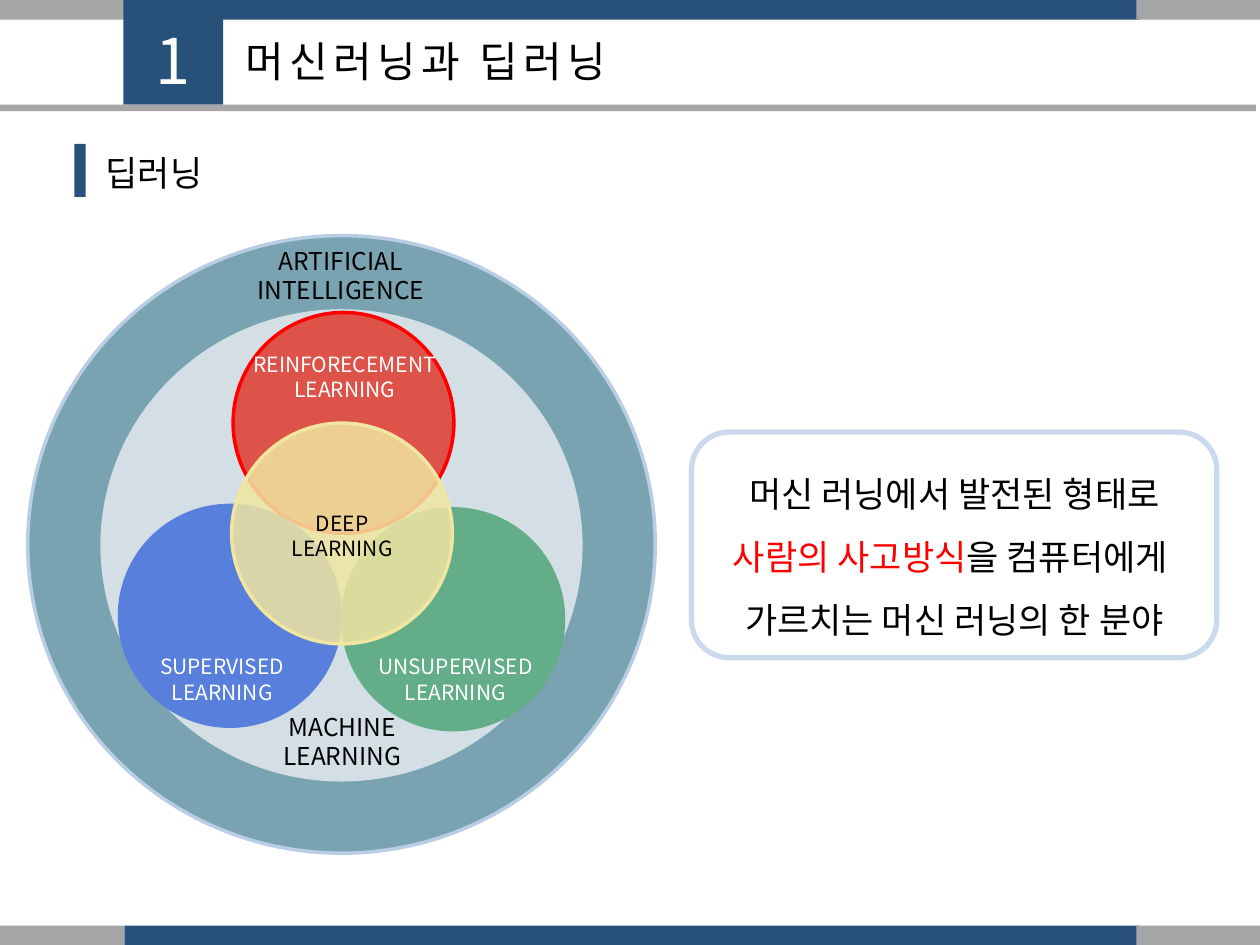
from dataclasses import dataclass
from typing import Optional

from lxml.etree import SubElement
from pptx import Presentation
from pptx.dml.color import RGBColor
from pptx.enum.shapes import MSO_SHAPE
from pptx.enum.text import MSO_ANCHOR, MSO_AUTO_SIZE, PP_ALIGN
from pptx.oxml.ns import qn
from pptx.util import Cm, Pt

FONT = "Noto Sans CJK KR"
NAVY = RGBColor(0x28, 0x51, 0x7A)
GRAY = RGBColor(0xA6, 0xA6, 0xA6)
BLACK = RGBColor(0, 0, 0)
WHITE = RGBColor(0xFF, 0xFF, 0xFF)
RED = RGBColor(0xFF, 0, 0)
TEAL = RGBColor(0x79, 0xA3, 0xB0)
PALE_BLUE = RGBColor(0xB9, 0xCD, 0xE5)
FRAME_BLUE = RGBColor(0xCA, 0xD9, 0xEB)
MIST = RGBColor(0xD3, 0xDF, 0xE5)
GREEN = RGBColor(0x63, 0xAE, 0x89)
CORAL = RGBColor(0xDE, 0x53, 0x49)
BLUE = RGBColor(0x57, 0x7F, 0xDB)
CREAM = RGBColor(0xF0, 0xE5, 0xA1)


@dataclass(frozen=True)
class Area:
    """Position and size in centimetres."""
    left: float
    top: float
    width: float
    height: float

    def lengths(self) -> tuple:
        return Cm(self.left), Cm(self.top), Cm(self.width), Cm(self.height)


@dataclass(frozen=True)
class Circle:
    area: Area
    fill: RGBColor
    line: RGBColor
    opacity: int = 100


@dataclass(frozen=True)
class Label:
    area: Area
    words: str
    size: int
    color: RGBColor


def add_figure(page, kind, area: Area, fill: Optional[RGBColor] = None,
               line: Optional[RGBColor] = None, weight: float = 2,
               opacity: int = 100):
    figure = page.shapes.add_shape(kind, *area.lengths())
    figure.shadow.inherit = False
    if fill is None:
        figure.fill.background()
    else:
        figure.fill.solid()
        figure.fill.fore_color.rgb = fill
        if opacity < 100:
            color = figure.fill._xPr.find(qn("a:solidFill"))[0]
            SubElement(color, qn("a:alpha"), val=str(opacity * 1000))
    if line is None:
        figure.line.fill.background()
    else:
        figure.line.color.rgb = line
        figure.line.width = Pt(weight)
    return figure


def write_text(box, text: str, *, size: int, color: RGBColor = BLACK,
               align=PP_ALIGN.LEFT, line_spacing: float = 1.0,
               tracking: int = 0, accent: str = "") -> None:
    """Fill a box line by line; the accent phrase turns red."""
    frame = box.text_frame
    frame.word_wrap = True
    frame.auto_size = MSO_AUTO_SIZE.NONE
    frame.vertical_anchor = MSO_ANCHOR.TOP
    for index, line in enumerate(text.split("\n")):
        para = frame.paragraphs[0] if index == 0 else frame.add_paragraph()
        properties = para._p.get_or_add_pPr()
        properties.set("marL", "0")
        properties.set("indent", "0")
        SubElement(properties, qn("a:buNone"))
        para.alignment = align
        para.line_spacing = line_spacing
        para.space_before = Pt(0)
        if accent and accent in line:
            before, after = line.split(accent)
            pieces = [(before, color), (accent, RED), (after, color)]
        else:
            pieces = [(line, color)]
        for words, shade in pieces:
            if not words:
                continue
            span = para.add_run()
            span.text = words
            span.font.size = Pt(size)
            span.font.name = FONT
            span.font.color.rgb = shade
            run_properties = span.font._element
            SubElement(run_properties, qn("a:ea"), typeface=FONT)
            if tracking:
                run_properties.set("spc", str(tracking * 100))


def place(box, area: Area):
    box.left, box.top, box.width, box.height = area.lengths()
    return box


def add_text(page, area: Area, text: str, **style) -> None:
    write_text(page.shapes.add_textbox(*area.lengths()), text, **style)


def add_band(page, top: float) -> None:
    for left, width, color in ((2.51, 20.47, NAVY), (0, 2.51, GRAY), (22.91, 2.49, GRAY)):
        add_figure(page, MSO_SHAPE.RECTANGLE, Area(left, top, width, 0.4), color)


DISC = 4.45
RINGS = [
    Circle(Area(0.56, 4.75, 12.65, 12.45), TEAL, PALE_BLUE),
    Circle(Area(2.06, 6.27, 9.65, 9.45), MIST, MIST),
]
BRANCHES = [
    Circle(Area(6.91, 10.26, DISC, DISC), GREEN, GREEN),
    Circle(Area(4.7, 6.3, DISC, DISC), CORAL, RED),
    Circle(Area(2.41, 10.19, DISC, DISC), BLUE, BLUE),
    Circle(Area(4.67, 8.53, DISC, DISC), CREAM, CREAM, opacity=85),
]
LABELS = [
    Label(Area(1.27, 4.83, 11.2, 1.45), "ARTIFICIAL\nINTELLIGENCE", 14, BLACK),
    Label(Area(2.62, 14.22, 8.56, 1.45), "MACHINE\nLEARNING", 14, BLACK),
    Label(Area(1.35, 6.96, 11.2, 1.27), "REINFORECEMENT\nLEARNING", 12, WHITE),
    Label(Area(-1.12, 13.06, 11.2, 1.27), "SUPERVISED\nLEARNING", 12, WHITE),
    Label(Area(3.58, 13.06, 11.2, 1.27), "UNSUPERVISED\nLEARNING", 12, WHITE),
    Label(Area(1.3, 10.16, 11.2, 1.27), "DEEP\nLEARNING", 12, BLACK),
]


def main() -> None:
    deck = Presentation()
    deck.slide_width, deck.slide_height = Cm(25.4), Cm(19.05)
    page = deck.slides.add_slide(deck.slide_layouts[1])

    # Bands, heading and section number
    for top in (0, 18.66):
        add_band(page, top)
    add_figure(page, MSO_SHAPE.RECTANGLE, Area(2.49, 0, 2.01, 2.11), NAVY)
    add_figure(page, MSO_SHAPE.RECTANGLE, Area(-0.13, 2.11, 25.45, 0.13), GRAY)
    title = place(page.shapes.title, Area(4.7, 0.58, 14, 1.28))
    write_text(title, "머신러닝과 딥러닝", size=24, tracking=3)
    add_text(page, Area(2.39, 0.3, 2.21, 1.8), "1", size=36, color=WHITE,
             align=PP_ALIGN.CENTER, tracking=3)

    # Section heading
    add_text(page, Area(1.88, 2.92, 11.02, 1.11), "딥러닝", size=20)
    add_figure(page, MSO_SHAPE.RECTANGLE, Area(1.5, 2.9, 0.23, 1.07), NAVY)

    # Definition
    body = place(page.placeholders[1], Area(13.64, 8.97, 11.2, 3.99))
    write_text(body, "머신 러닝에서 발전된 형태로\n사람의 사고방식을 컴퓨터에게 \n가르치는 머신 러닝의 한 분야",
               size=20, align=PP_ALIGN.CENTER, line_spacing=1.5, accent="사람의 사고방식")
    add_figure(page, MSO_SHAPE.ROUNDED_RECTANGLE, Area(13.94, 8.71, 10.59, 4.55),
               line=FRAME_BLUE, weight=3)

    # Nested fields of learning
    for circle in RINGS + BRANCHES:
        add_figure(page, MSO_SHAPE.OVAL, circle.area, circle.fill, circle.line,
                   opacity=circle.opacity)
    for label in LABELS:
        add_text(page, label.area, label.words, size=label.size, color=label.color,
                 align=PP_ALIGN.CENTER)

    deck.save("out.pptx")


if __name__ == "__main__":
    main()
